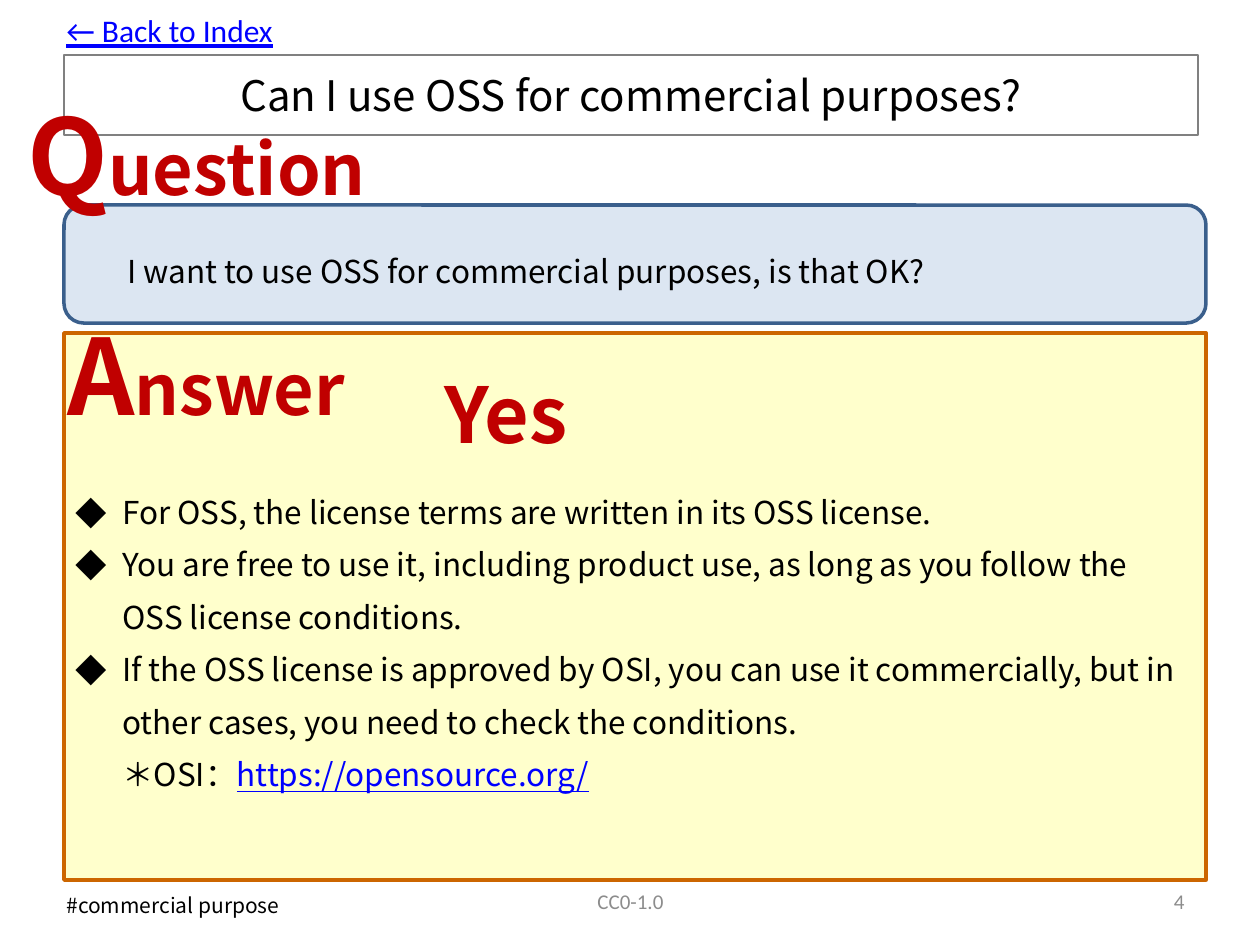
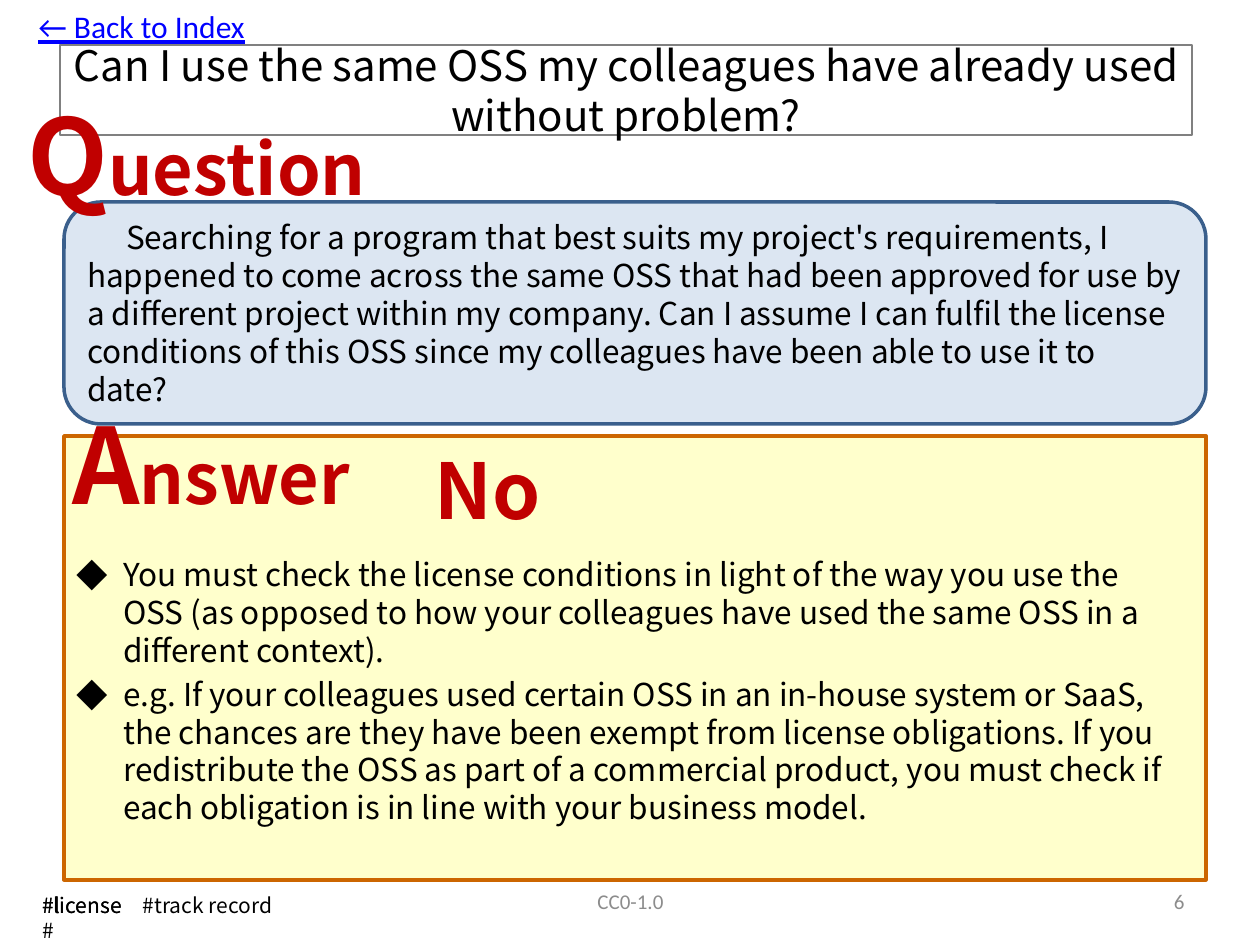
from lxml.etree import SubElement
from pptx import Presentation
from pptx.dml.color import RGBColor
from pptx.enum.shapes import MSO_SHAPE
from pptx.enum.text import MSO_ANCHOR, PP_ALIGN
from pptx.oxml.ns import qn
from pptx.util import Emu, Pt

PX = 914400 / 126
SANS, FOOTER_FONT = "Noto Sans CJK JP", "Calibri"
BLACK, RED, BLUE, GREY = "000000", "C00000", "0000FF", "8C8C8C"
BACK_LINK = "← Back to Index"
LICENSE = "CC0-1.0"


def px(length):
    """Turn px into EMU."""
    return Emu(round(length * PX))


def color(hex_code):
    """Turn a hex string into a colour."""
    return RGBColor.from_string(hex_code)


def add_run(paragraph, text, size=18, font=SANS, fill=BLACK, bold=False, underline=False):
    """Append formatted text to a paragraph."""
    run = paragraph.add_run()
    run.text = text
    run.font.size = Pt(size)
    run.font.bold = bold
    run.font.underline = underline
    run.font.color.rgb = color(fill)
    run.font.name = font
    SubElement(run.font._element, qn("a:ea"), typeface=font)


def indent(paragraph, left, first, bullet=None):
    """Set the indents of a paragraph and its bullet."""
    properties = paragraph._p.get_or_add_pPr()
    properties.set("marL", str(px(left)))
    properties.set("indent", str(px(first)))
    if bullet:
        SubElement(properties, qn("a:buFont"), typeface=SANS)
        SubElement(properties, qn("a:buChar"), char=bullet)


class QuestionDeck:
    """Style of the question pages and the slide being built."""

    def __init__(self):
        """Open an empty 4:3 deck."""
        self.deck = Presentation()
        self.deck.slide_width, self.deck.slide_height = px(1260), px(945)
        self.slide = None

    def new_slide(self):
        """Start a blank slide."""
        self.slide = self.deck.slides.add_slide(self.deck.slide_layouts[6])

    def panel(self, box, line, width, fill=None, kind=MSO_SHAPE.RECTANGLE):
        """Draw an outlined shape."""
        shape = self.slide.shapes.add_shape(kind, *map(px, box))
        shape.shadow.inherit = False
        if fill:
            shape.fill.solid()
            shape.fill.fore_color.rgb = color(fill)
        else:
            shape.fill.background()
        shape.line.color.rgb = color(line)
        shape.line.width = Pt(width)
        return shape

    def set_text(self, shape, *runs, align=PP_ALIGN.LEFT, spacing=None, middle=False):
        """Fill the first paragraph of a shape with (text, format) runs."""
        frame = shape.text_frame
        frame.word_wrap = True
        frame.vertical_anchor = MSO_ANCHOR.MIDDLE if middle else MSO_ANCHOR.TOP
        paragraph = frame.paragraphs[0]
        paragraph.alignment = align
        if spacing:
            paragraph.line_spacing = Pt(spacing)
        for text, style in runs:
            add_run(paragraph, text, **style)
        return paragraph

    def label(self, box, *runs, **layout):
        """Add a text box."""
        return self.set_text(self.slide.shapes.add_textbox(*map(px, box)), *runs, **layout)

    def title(self, box, text):
        """Add the outlined title."""
        self.set_text(self.panel(box, "808080", 0.75), (text, {"size": 24}),
                      align=PP_ALIGN.CENTER, spacing=28.8, middle=True)

    def question(self, top, height, text, first, spacing):
        """Add the rounded question panel."""
        shape = self.panel((64, top, 1142, height), "3A5F8C", 2, "DCE6F2",
                           MSO_SHAPE.ROUNDED_RECTANGLE)
        indent(self.set_text(shape, (text, {}), spacing=spacing, middle=True), 0, first)

    def answer_panel(self, top):
        """Add the yellow panel, which always ends at the same height."""
        self.panel((64, top, 1142, 880 - top), "CC6600", 2, "FFFFCC")

    def heading(self, left, top, width, word):
        """Add a red word with a large initial."""
        style = {"fill": RED, "bold": True}
        self.label((left, top, width, 140), (word[0], {"size": 60, **style}),
                   (word[1:], {"size": 40, **style}), spacing=72)

    def verdict(self, left, top, word):
        """Add the short answer."""
        self.label((left, top, 268, 106), (word, {"size": 44, "fill": RED, "bold": True}),
                   spacing=52.8)

    def reasons(self, box, items, spacing, gap=0):
        """Add the bulleted reasons, each a list of runs, with None as a line break."""
        frame = self.slide.shapes.add_textbox(*map(px, box)).text_frame
        frame.word_wrap = True
        for number, runs in enumerate(items):
            paragraph = frame.add_paragraph() if number else frame.paragraphs[0]
            indent(paragraph, 47, -47, "◆")
            paragraph.line_spacing = Pt(spacing)
            if number and gap:
                paragraph.space_before = Pt(gap)
            for run in runs:
                if run is None:
                    paragraph.add_line_break()
                else:
                    add_run(paragraph, run[0], **run[1])

    def tag(self, left, width, text):
        """Add the keywords at the bottom left."""
        paragraph = self.label((left, 886, width, 38), spacing=14.4)
        for number, line in enumerate(text.split("\n")):
            if number:
                paragraph.add_line_break()
            add_run(paragraph, line, size=12)

    def navigation(self, left, top, page):
        """Add the index line, the licence and the page number."""
        self.label((left, top, 240, 50),
                   (BACK_LINK, {"font": FOOTER_FONT, "fill": BLUE, "underline": True}))
        footer = {"size": 12, "font": FOOTER_FONT, "fill": GREY}
        self.label((431, 876, 399, 50), (LICENSE, footer), align=PP_ALIGN.CENTER, middle=True)
        self.label((903, 876, 294, 50), (str(page), footer), align=PP_ALIGN.RIGHT, middle=True)


def commercial_use(deck):
    """Build the page on commercial purposes."""
    deck.new_slide()
    deck.tag(54, 258, "#commercial purpose")
    deck.answer_panel(333)
    deck.title((64, 55, 1134, 80), "Can I use OSS for commercial purposes?")
    deck.reasons((63, 472, 1142, 386), [
        [("For OSS, the license terms are written in its OSS license.", {})],
        [("You are free to use it, including product use, as long as you follow the "
          "OSS license conditions.", {})],
        [("If the OSS license is approved by OSI, you can use it commercially, but in "
          "other cases, you need to check the conditions.", {}),
         None, ("＊OSI：", {}),
         ("https://opensource.org/", {"fill": BLUE, "underline": True})],
    ], spacing=30)
    deck.question(205, 118, "I want to use OSS for commercial purposes, is that OK?", 45, 30)
    deck.heading(15, 84, 387, "Question")
    deck.heading(55, 304, 331, "Answer")
    deck.verdict(432, 360, "Yes")
    deck.navigation(54, 5, 4)


def track_record(deck):
    """Build the page on what colleagues already used."""
    deck.new_slide()
    deck.answer_panel(436)
    deck.title((60, 45, 1132, 90),
               "Can I use the same OSS my colleagues have already used without problem?")
    deck.reasons((64, 549, 1124, 330), [
        [("You must check the license conditions in light of the way you use the OSS "
          "(as opposed to how your colleagues have used the same OSS in a different "
          "context).", {})],
        [("e.g. If your colleagues used certain OSS in an in-house system or SaaS, the "
          "chances are they have been exempt from license obligations. If you "
          "redistribute the OSS as part of a commercial product, you must check if each "
          "obligation is in line with your business model.", {})],
    ], spacing=21.6, gap=3.6)
    deck.question(202, 222, (
        "Searching for a program that best suits my project's requirements, I happened to "
        "come across the same OSS that had been approved for use by a different project "
        "within my company. Can I assume I can fulfil the license conditions of this OSS "
        "since my colleagues have been able to use it to date?"), 39, 21.6)
    deck.heading(15, 84, 387, "Question")
    deck.heading(60, 393, 331, "Answer")
    deck.verdict(422, 436, "No")
    deck.tag(30, 142, "#license\n#")
    deck.tag(30, 275, "#license　#track record")
    deck.navigation(26, 1, 6)


def main():
    """Build both pages and save them."""
    pages = QuestionDeck()
    commercial_use(pages)
    track_record(pages)
    pages.deck.save("out.pptx")


if __name__ == "__main__":
    main()
